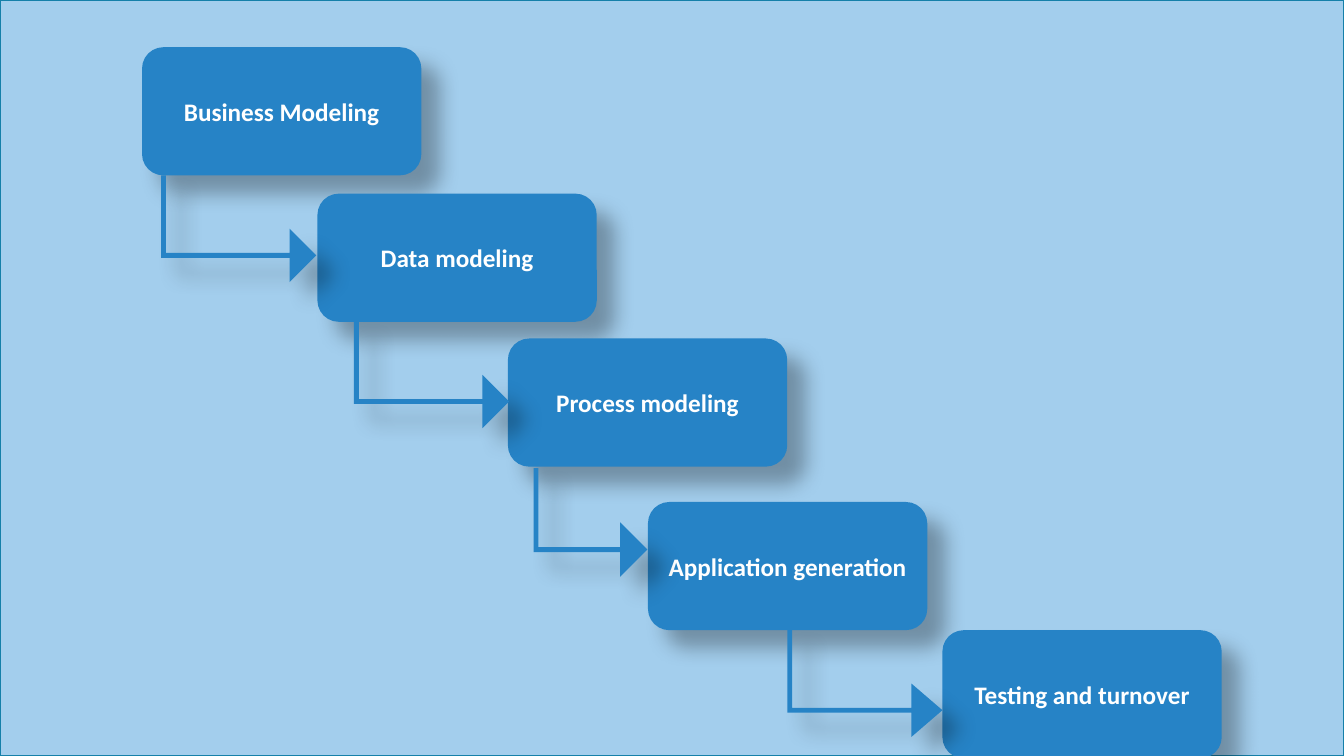
from dataclasses import dataclass

from lxml import etree
from pptx import Presentation
from pptx.dml.color import RGBColor
from pptx.enum.shapes import MSO_SHAPE
from pptx.enum.text import MSO_ANCHOR, PP_ALIGN
from pptx.oxml.ns import qn
from pptx.shapes.autoshape import Shape
from pptx.slide import Slide
from pptx.util import Cm, Pt

RECTANGLE = MSO_SHAPE.RECTANGLE
ROUNDED = MSO_SHAPE.ROUNDED_RECTANGLE
BENT_ARROW = MSO_SHAPE.BENT_UP_ARROW
MIDDLE = MSO_ANCHOR.MIDDLE
CENTER = PP_ALIGN.CENTER
BLANK_LAYOUT = 6
SLIDE_WIDTH, SLIDE_HEIGHT = Cm(33.87), Cm(19.05)
BOX_WIDTH, BOX_HEIGHT = 7.04, 3.23


@dataclass(frozen=True)
class Theme:
    backdrop: RGBColor = RGBColor(0xA3, 0xCE, 0xED)
    border: RGBColor = RGBColor(0x15, 0x80, 0xA9)
    accent: RGBColor = RGBColor(0x26, 0x83, 0xC6)
    text: RGBColor = RGBColor(0xFF, 0xFF, 0xFF)
    shadow: RGBColor = RGBColor(0x00, 0x00, 0x00)
    font: str = "Calibri"
    size: Pt = Pt(18)
    border_width: Pt = Pt(1.25)


@dataclass(frozen=True)
class Phase:
    label: str
    left: float
    top: float


@dataclass(frozen=True)
class Arrow:
    left: float
    top: float
    width: float = 2.69
    height: float = 3.91
    head_length: float = 0.25


THEME = Theme()
PHASES = [
    Phase("Business Modeling", 3.58, 1.19),
    Phase("Data modeling", 8.0, 4.88),
    Phase("Process modeling", 12.8, 8.53),
    Phase("Application generation", 16.33, 12.65),
    Phase("Testing and turnover", 23.75, 15.88),
]
ARROWS = [
    Arrow(4.67, 3.81),
    Arrow(9.53, 7.49),
    Arrow(13.51, 11.73, 2.74, 2.87),
    Arrow(20.45, 15.27, head_length=0.291),
]


def paint(shape: Shape, color: RGBColor) -> None:
    """Give a shape a plain fill, no outline and no inherited shadow."""
    shape.fill.solid()
    shape.fill.fore_color.rgb = color
    shape.line.fill.background()
    shape.shadow.inherit = False


def cast_shadow(shape: Shape) -> None:
    """Add a soft shadow falling to the lower right."""
    effects = shape._element.spPr.find(qn("a:effectLst"))
    shadow = etree.SubElement(
        effects, qn("a:outerShdw"), blurRad=str(Pt(15)), dist=str(Pt(18)),
        dir="2700000", algn="tl", rotWithShape="0")
    color = etree.SubElement(shadow, qn("a:srgbClr"), val=str(THEME.shadow))
    etree.SubElement(color, qn("a:alpha"), val="30000")


def add_backdrop(page: Slide) -> None:
    """Cover the page with a bordered rectangle."""
    backdrop = page.shapes.add_shape(RECTANGLE, 0, 0, SLIDE_WIDTH, SLIDE_HEIGHT)
    paint(backdrop, THEME.backdrop)
    backdrop.line.color.rgb = THEME.border
    backdrop.line.width = THEME.border_width


def add_phase(page: Slide, phase: Phase) -> None:
    """Draw one labelled phase box."""
    box = page.shapes.add_shape(
        ROUNDED, Cm(phase.left), Cm(phase.top), Cm(BOX_WIDTH), Cm(BOX_HEIGHT))
    paint(box, THEME.accent)
    cast_shadow(box)
    frame = box.text_frame
    frame.text = phase.label
    frame.word_wrap = True
    frame.vertical_anchor = MIDDLE
    para = frame.paragraphs[0]
    para.alignment = CENTER
    span = para.runs[0]
    span.font.name = THEME.font
    span.font.size = THEME.size
    span.font.bold = True
    span.font.color.rgb = THEME.text


def add_arrow(page: Slide, arrow: Arrow) -> None:
    """Draw one bent arrow leading down to the next phase."""
    shape = page.shapes.add_shape(
        BENT_ARROW, Cm(arrow.left), Cm(arrow.top), Cm(arrow.width), Cm(arrow.height))
    shape.rotation = 90
    for index, value in enumerate((0.045, 0.25, arrow.head_length)):
        shape.adjustments[index] = value
    paint(shape, THEME.accent)
    cast_shadow(shape)


def main() -> None:
    """Build the deck and save it."""
    deck = Presentation()
    deck.slide_width, deck.slide_height = SLIDE_WIDTH, SLIDE_HEIGHT
    page = deck.slides.add_slide(deck.slide_layouts[BLANK_LAYOUT])
    add_backdrop(page)
    for phase in PHASES:
        add_phase(page, phase)
    for arrow in ARROWS:
        add_arrow(page, arrow)
    deck.save("out.pptx")


if __name__ == "__main__":
    main()
